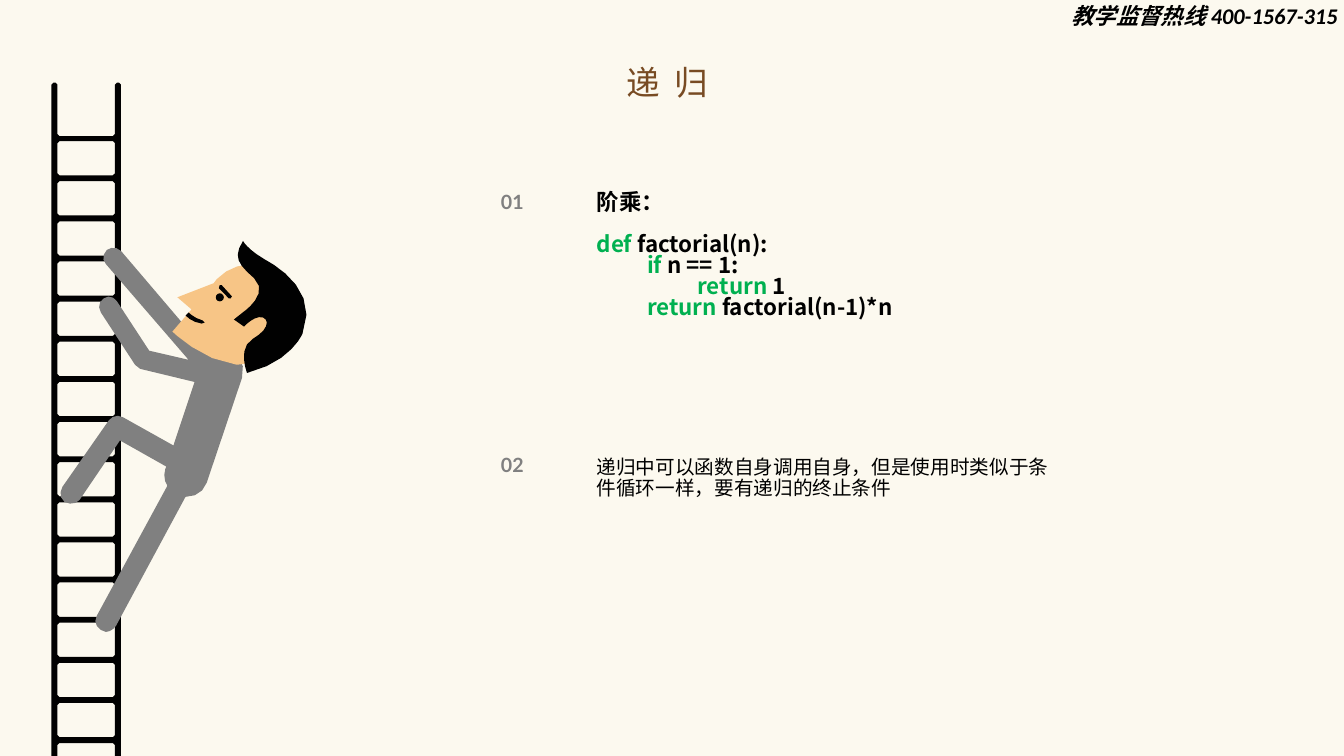
from lxml import etree
from pptx import Presentation
from pptx import util as u
from pptx.dml.color import RGBColor
from pptx.enum import shapes, text
from pptx.oxml.ns import qn

COLORS = {
    "paper": "FCF9EF", "title": "784B23", "ink": "000000", "black": "010101",
    "gray": "808080", "skin": "F7C586", "keyword": "00B050",
}
CJK = "Noto Sans CJK SC"

BODY = [
    (2.26, 3.47), (2.19, 3.45, 2.12, 3.47, 2.06, 3.5),
    (1.2, 2.49), (1.16, 2.45, 1.1, 2.45, 1.06, 2.48),
    (1.02, 2.52, 1.01, 2.58, 1.05, 2.62), (1.87, 3.57), (1.48, 3.48),
    (1.16, 2.99), (1.13, 2.94, 1.07, 2.93, 1.03, 2.96),
    (0.98, 2.99, 0.97, 3.05, 1, 3.1), (1.34, 3.62), (1.39, 3.66),
    (1.93, 3.79), (1.72, 4.42),
    (1.22, 4.14), (1.17, 4.11, 1.11, 4.13, 1.08, 4.17), (0.62, 4.83),
    (0.59, 4.88, 0.59, 4.94, 0.64, 4.98), (0.69, 5.01, 0.76, 5, 0.79, 4.96),
    (1.19, 4.37), (1.65, 4.63), (1.64, 4.65),
    (1.62, 4.71, 1.63, 4.78, 1.66, 4.82), (0.96, 6.11),
    (0.93, 6.16, 0.95, 6.22, 1, 6.25), (1.05, 6.27),
    (1.09, 6.27, 1.13, 6.24, 1.15, 6.21), (1.84, 4.93),
    (1.94, 4.93, 2.02, 4.88, 2.05, 4.79), (2.4, 3.75),
    (2.44, 3.63, 2.38, 3.51, 2.26, 3.47),
]
FACE = [
    (2.12, 2.81), (2.15, 2.77),
    (2.32, 2.59, 2.61, 2.57, 2.79, 2.74), (3.02, 2.95, 3.03, 3.22, 2.86, 3.41),
    (2.38, 3.95, 1.71, 3.29, 1.71, 3.29), (1.9, 3.07), (1.76, 2.95),
]
HAIR = [
    (2.42, 3.09), (2.42, 3.09, 2.68, 2.91, 2.52, 2.76),
    (2.36, 2.62, 2.31, 2.55, 2.41, 2.39), (2.41, 2.39, 2.45, 2.47, 2.62, 2.57),
    (2.79, 2.66, 3.16, 2.91, 3, 3.31), (3, 3.31, 2.89, 3.59, 2.45, 3.7),
    (2.45, 3.7, 2.35, 3.45, 2.51, 3.36), (2.65, 3.28, 2.68, 3.18, 2.61, 3.15),
    (2.53, 3.12, 2.42, 3.24, 2.42, 3.24), (2.32, 3.17),
]
EYEBROW = [
    (2.18, 2.83), (2.17, 2.86), (2.27, 2.96), (2.29, 2.96), (2.3, 2.94), (2.2, 2.83),
]
MOUTH = [
    (2.03, 3.2), (2.01, 3.18), (1.94, 3.16, 1.89, 3.12, 1.87, 3.1),
    (1.84, 3.13), (1.88, 3.17, 1.93, 3.2, 2, 3.21),
]


def color(name):
    return RGBColor.from_string(COLORS[name])


def flatten(outline, steps):
    points = [outline[0]]
    for segment in outline[1:]:
        if len(segment) == 2:
            points.append(segment)
            continue
        x0, y0 = points[-1]
        x1, y1, x2, y2, x3, y3 = segment
        for step in range(1, steps + 1):
            t = step / steps
            a, b, c, d = (1 - t) ** 3, 3 * t * (1 - t) ** 2, 3 * t * t * (1 - t), t ** 3
            points.append((a * x0 + b * x1 + c * x2 + d * x3,
                           a * y0 + b * y1 + c * y2 + d * y3))
    return points


def paint(part, fill):
    part.fill.solid()
    part.fill.fore_color.rgb = color(fill)
    part.line.fill.background()
    part.shadow.inherit = False
    return part


def draw(slide, left, top, fill, outlines, steps=1):
    builder = None
    for outline in outlines:
        points = [(u.Inches(left + x), u.Inches(top + y)) for x, y in flatten(outline, steps)]
        if builder is None:
            builder = slide.shapes.build_freeform(*points[0])
        else:
            builder.move_to(*points[0])
        builder.add_line_segments(points[1:], close=True)
    return paint(builder.convert_to_shape(), fill)


def ladder_gap(upper, cut=0.02):
    left, right, lower = 0.37, 0.94, upper + 0.34
    return [
        (left + cut, upper), (right - cut, upper), (right, upper + cut), (right, lower - cut),
        (right - cut, lower), (left + cut, lower), (left, lower - cut), (left, upper + cut),
    ]


def add_ladder(slide, left, top):
    frame = [
        (0, 7.81), (0.31, 7.81), (0.31, 0.02), (0.33, 0), (0.35, 0), (0.37, 0.02),
        (0.37, 0.51), (0.39, 0.53), (0.92, 0.53), (0.94, 0.51), (0.94, 0.02), (0.96, 0),
        (0.98, 0), (1, 0.02), (1, 7.81), (1.31, 7.81), (1.31, 7.87), (0.94, 7.87),
        (0.94, 7.35), (0.37, 7.35), (0.37, 7.87), (0, 7.87),
    ]
    gaps = [ladder_gap(0.58 + i * 6.37 / 16) for i in range(17)]
    return draw(slide, left, top, "black", [frame, *gaps])


def add_climber(slide, left, top):
    parts = [draw(slide, left, top, fill, [outline], steps) for outline, fill, steps in (
        (BODY, "gray", 3), (FACE, "skin", 6), (HAIR, "black", 6),
        (EYEBROW, "black", 1), (MOUTH, "black", 3))]
    eye = slide.shapes.add_shape(
        shapes.MSO_SHAPE.OVAL, u.Inches(left + 2.14), u.Inches(top + 2.91),
        u.Inches(0.08), u.Inches(0.08))
    return parts + [paint(eye, "black")]


def add_illustration(slide, left, top):
    ladder = add_ladder(slide, left + 0.2, top + 0.82)
    slide.shapes.add_group_shape([ladder, *add_climber(slide, left, top)])


def style(paragraph, size, face, fill=None, bold=False, italic=False):
    font = paragraph.font
    font.size, font.name, font.bold, font.italic = u.Pt(size), face, bold, italic
    if fill:
        font.color.rgb = color(fill)
    etree.SubElement(font._rPr, qn("a:ea")).set("typeface", CJK)


def add_text(slide, left, top, width, height):
    frame = slide.shapes.add_textbox(*map(u.Inches, (left, top, width, height))).text_frame
    frame.word_wrap = True
    return frame


def add_title(slide, left, top, width, height):
    title = slide.shapes.title
    title.left, title.top, title.width, title.height = map(u.Inches, (left, top, width, height))
    frame = title.text_frame
    frame.auto_size = text.MSO_AUTO_SIZE.NONE
    frame.vertical_anchor = text.MSO_ANCHOR.TOP
    heading = frame.paragraphs[0]
    heading.alignment = text.PP_ALIGN.CENTER
    topic = heading.add_run()
    topic.text = "递 归"
    topic._r.get_or_add_rPr().set("spc", "270")
    style(heading, 24, CJK, "title")


def add_hotline(slide, left, top, width, height):
    hotline = add_text(slide, left, top, width, height).paragraphs[0]
    hotline.text = "教学监督热线 400-1567-315"
    hotline.line_spacing = 0.9
    style(hotline, 16, "Calibri", "ink", bold=True, italic=True)


def add_entry(slide, left, top, height, number, lines, size, bold):
    frame = add_text(slide, left, top, 1.43, 0.26)
    frame.vertical_anchor = text.MSO_ANCHOR.MIDDLE
    frame.margin_left = frame.margin_right = u.Inches(0.05)
    frame.margin_top = frame.margin_bottom = u.Inches(0.03)
    label = frame.paragraphs[0]
    label.text = number
    label.alignment = text.PP_ALIGN.CENTER
    label.line_spacing = u.Pt(15)
    style(label, 14, "Lato", "gray", bold=True)

    frame = add_text(slide, left + 1.43, top, 4.83, height)
    for i, pieces in enumerate(lines):
        line = frame.paragraphs[0] if i == 0 else frame.add_paragraph()
        line.line_spacing = u.Pt(15)
        if i == 1:
            line.space_before = u.Pt(15)
        style(line, size, CJK, bold=bold)
        for words, fill in pieces:
            run = line.add_run()
            run.text = words
            run.font.color.rgb = color(fill)


def main():
    deck = Presentation()
    deck.slide_width, deck.slide_height = u.Inches(13.33), u.Inches(7.5)
    slide = deck.slides.add_slide(deck.slide_layouts[5])
    slide.background.fill.solid()
    slide.background.fill.fore_color.rgb = color("paper")
    add_hotline(slide, 10.53, 0, 2.88, 0.39)
    add_illustration(slide, 0, 0)
    add_title(slide, 4.42, 0.56, 4.4, 0.5)
    factorial = [
        [("阶乘：", "ink")],
        [("def", "keyword"), (" factorial(n):", "ink")],
        [("\tif", "keyword"), (" n == 1:", "ink")],
        [("\t\treturn", "keyword"), (" 1", "ink")],
        [("\treturn", "keyword"), (" factorial(n-1)*n", "ink")],
    ]
    rule = [[("递归中可以函数自身调用自身，但是使用时类似于条件循环一样，要有递归的终止条件", "ink")]]
    add_entry(slide, 4.39, 1.88, 1.36, "01 ", factorial, 16, True)
    add_entry(slide, 4.39, 4.49, 0.52, "02 ", rule, 14, False)
    deck.save("out.pptx")


if __name__ == "__main__":
    main()
